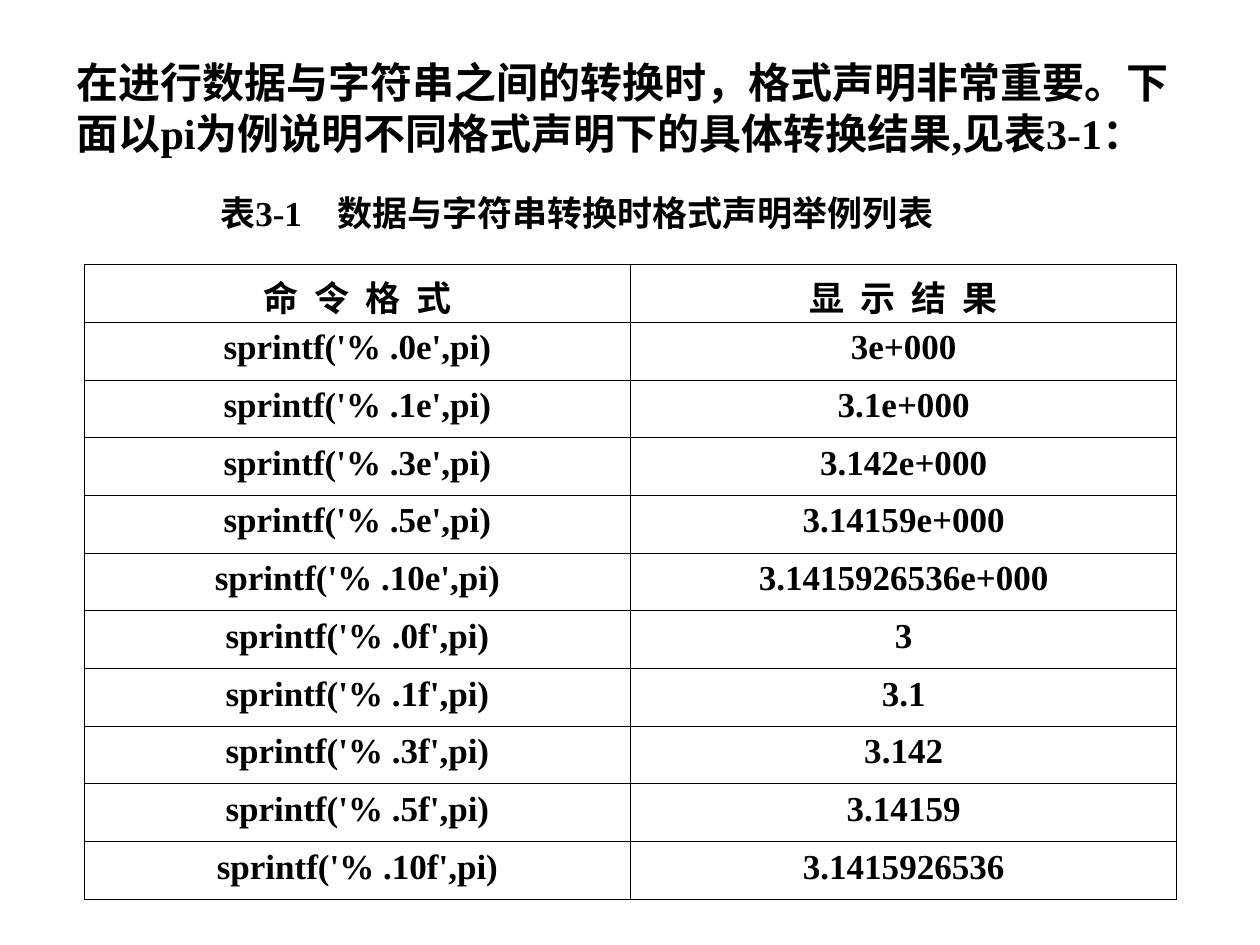
from dataclasses import dataclass
from lxml.etree import SubElement
from pptx import Presentation
from pptx.dml.color import RGBColor
from pptx.enum.text import MSO_ANCHOR, MSO_AUTO_SIZE, PP_ALIGN
from pptx.oxml.ns import qn
from pptx.util import Inches, Pt


@dataclass(frozen=True)
class Theme:
    ink: str = "000000"
    latin: str = "Times New Roman"
    asian: str = "Noto Sans CJK SC"
    lead: int = 24
    body: int = 20
    rule: float = 0.45


class Page:
    """Holds the theme and the current slide."""

    def __init__(self, slide, theme):
        self.slide = slide
        self.theme = theme

    def label(self, para, text, size, face=None, track=0):
        run = para.add_run()
        run.text = text
        look = {"size": Pt(size), "bold": True, "name": face or self.theme.latin}
        for key, value in look.items():
            setattr(run.font, key, value)
        run.font.color.rgb = RGBColor.from_string(self.theme.ink)
        props = run._r.get_or_add_rPr()
        SubElement(props, qn("a:ea")).set("typeface", self.theme.asian)
        if track:
            props.set("spc", str(int(track * 100)))

    def text(self, box, text, size, anchor=MSO_ANCHOR.TOP, pitch=None):
        shape = self.slide.shapes.add_textbox(*map(Inches, box))
        frame = shape.text_frame
        look = {
            "word_wrap": True,
            "auto_size": MSO_AUTO_SIZE.SHAPE_TO_FIT_TEXT,
            "vertical_anchor": anchor,
        }
        for key, value in look.items():
            setattr(frame, key, value)
        para = frame.paragraphs[0]
        if pitch:
            para.line_spacing = Pt(pitch)
        self.label(para, text, size)

    def border(self, cell):
        props = cell._tc.get_or_add_tcPr()
        for side in ("lnL", "lnR", "lnT", "lnB"):
            line = SubElement(props, qn(f"a:{side}"), w=str(Pt(self.theme.rule)))
            fill = SubElement(line, qn("a:solidFill"))
            SubElement(fill, qn("a:srgbClr")).set("val", self.theme.ink)

    def table(self, box, rows):
        shape = self.slide.shapes.add_table(
            len(rows), len(rows[0]), *map(Inches, box))
        grid = shape.table
        grid.first_row = grid.horz_banding = False
        for r, row in enumerate(rows):
            for c, text in enumerate(row):
                cell = grid.cell(r, c)
                self.border(cell)
                cell.fill.background()
                para = cell.text_frame.paragraphs[0]
                para.alignment = PP_ALIGN.CENTER
                if r == 0:
                    # Tracked heading; no lower margin keeps rows equal
                    cell.margin_bottom = 0
                    self.label(para, text, self.theme.body, self.theme.asian, 2.25)
                else:
                    self.label(para, text, self.theme.body)


def main():
    deck = Presentation()
    deck.slide_width, deck.slide_height = Inches(10), Inches(7.5)
    theme = Theme()
    page = Page(deck.slides.add_slide(deck.slide_layouts[6]), theme)

    # Lead paragraph
    page.text(
        (0.51, 0.4, 8.92, 0.9),
        "在进行数据与字符串之间的转换时，格式声明非常重要。"
        "下面以pi为例说明不同格式声明下的具体转换结果,见表3-1：",
        theme.lead, pitch=29)

    # Table caption
    page.text((1.65, 1.47, 6.34, 0.44),
              "表3-1　数据与字符串转换时格式声明举例列表",
              theme.body, MSO_ANCHOR.MIDDLE)

    # Formats and what they show
    shown = {
        ".0e": "3e+000",
        ".1e": "3.1e+000",
        ".3e": "3.142e+000",
        ".5e": "3.14159e+000",
        ".10e": "3.1415926536e+000",
        ".0f": "3",
        ".1f": "3.1",
        ".3f": "3.142",
        ".5f": "3.14159",
        ".10f": "3.1415926536",
    }
    rows = [("命 令 格 式", "显 示 结 果")]
    rows += [(f"sprintf('% {form}',pi)", value) for form, value in shown.items()]
    page.table((0.67, 2.1, 8.67, 5.04), rows)

    deck.save("out.pptx")


if __name__ == "__main__":
    main()
